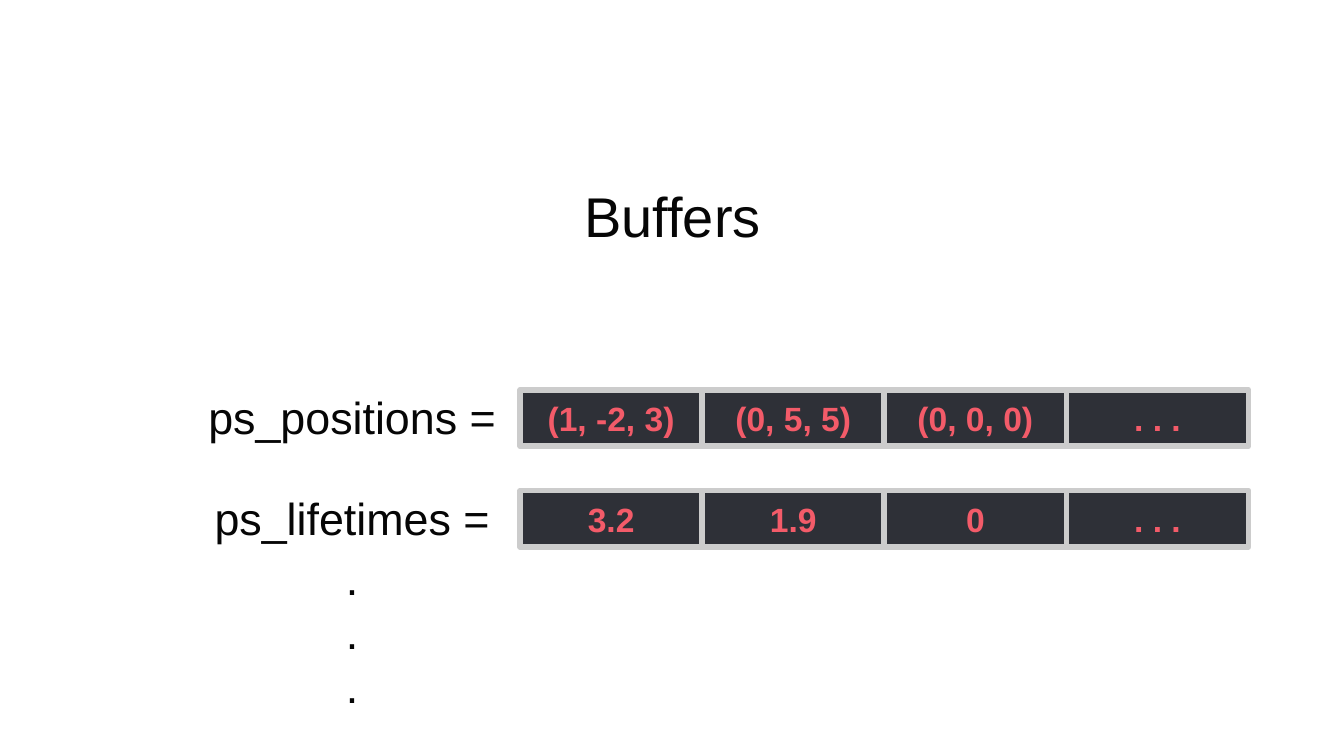
from pptx import Presentation
from pptx.dml.color import RGBColor
from pptx.enum import shapes, text
from pptx.util import Inches, Pt

HUES = {"ink": "060606", "cell": "2E3037", "edge": "CCCCCC", "value": "F35B69"}


def write(shape, words, size, hue, anchor, bold=False):
    frame = shape.text_frame
    frame.word_wrap = True
    frame.auto_size = text.MSO_AUTO_SIZE.NONE
    frame.vertical_anchor = anchor
    frame.margin_left = frame.margin_right = Inches(0.1)
    frame.margin_top = frame.margin_bottom = Inches(0.1)
    frame.text = words
    for para in frame.paragraphs:
        para.alignment = text.PP_ALIGN.CENTER
        para.line_spacing = 1.0
        para.space_before = Pt(0)
        para.font.name = "Arial"
        para.font.size = Pt(size)
        para.font.bold = bold
        para.font.color.rgb = RGBColor.from_string(HUES[hue])


# Slide in 16:9
deck = Presentation()
deck.slide_width = Inches(10)
deck.slide_height = deck.slide_width * 9 // 16
slide = deck.slides.add_slide(deck.slide_layouts[5])
top = text.MSO_ANCHOR.TOP
middle = text.MSO_ANCHOR.MIDDLE

# Title
title = slide.shapes.title
title.left, title.top = Inches(0.37), Inches(1.25)
title.width, title.height = Inches(9.27), Inches(0.74)
write(title, "Buffers", 30, "ink", top)

# Buffer names, with dots for those that follow
names = [(2.8, "ps_positions ="), (3.55, "ps_lifetimes ="), (4, ".\n.\n.")]
for y, name in names:
    label = slide.shapes.add_textbox(Inches(1.37), Inches(y), Inches(2.5), Inches(0.63))
    write(label, name, 24, "ink", top)

# Buffer cells
rows = [
    (2.9, ["(1, -2, 3)", "(0, 5, 5)", "(0, 0, 0)", ". . ."]),
    (3.65, ["3.2", "1.9", "0", ". . ."]),
]
wide = Inches(5.42) // 4
for y, values in rows:
    for col, value in enumerate(values):
        cell = slide.shapes.add_shape(
            shapes.MSO_SHAPE.RECTANGLE,
            Inches(3.87) + col * wide, Inches(y), wide, Inches(0.42))
        cell.shadow.inherit = False
        cell.fill.solid()
        cell.fill.fore_color.rgb = RGBColor.from_string(HUES["cell"])
        cell.line.color.rgb = RGBColor.from_string(HUES["edge"])
        cell.line.width = Pt(3)
        write(cell, value, 18, "value", middle, bold=True)

deck.save("out.pptx")
